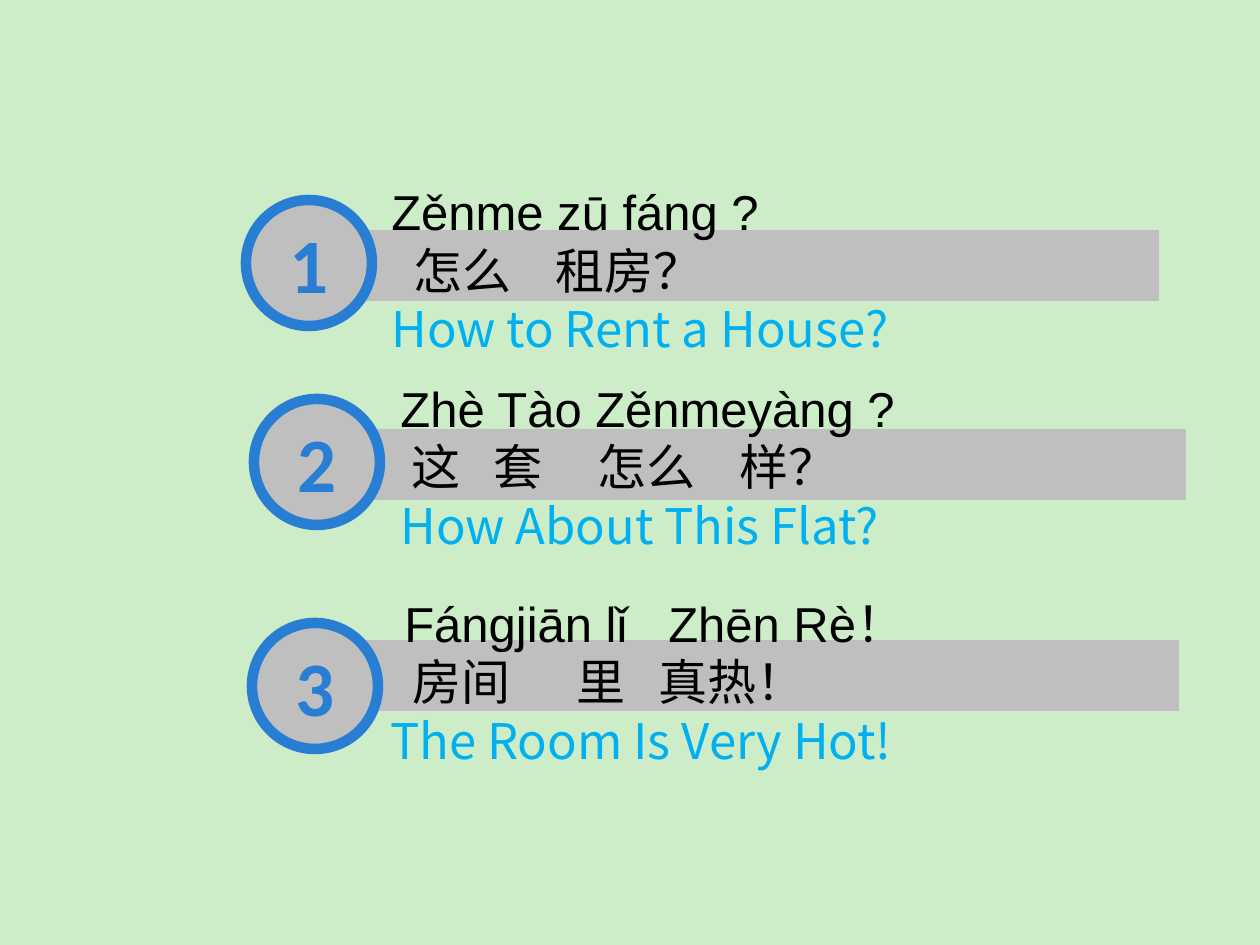
from lxml import etree
from pptx import Presentation
from pptx.dml.color import RGBColor
from pptx.enum.shapes import MSO_SHAPE
from pptx.enum.text import MSO_ANCHOR, MSO_AUTO_SIZE, PP_ALIGN
from pptx.oxml.ns import qn
from pptx.util import Emu, Pt

RECTANGLE, OVAL = MSO_SHAPE.RECTANGLE, MSO_SHAPE.OVAL
MIDDLE, CENTER = MSO_ANCHOR.MIDDLE, PP_ALIGN.CENTER
FIT_SHAPE = MSO_AUTO_SIZE.SHAPE_TO_FIT_TEXT

PX_PER_INCH = 126
GREEN, GRAY, BLUE = "CCEDC7", "BFBFBF", "287ED3"
BLACK, SKY = "000000", "00B0F0"
LATIN, CHINESE, NUMBER = "Arial", "Noto Sans CJK SC", "Calibri"
BAR_SIZE, CIRCLE_SIZE, TEXT_HEIGHT = (815, 71), (126, 126), 189

# Each line is a list of (tab position in px, words); position 0 needs no tab.
LESSONS = [
    {"bar": (344, 230), "circle": (246, 200), "text": (379, 175, 890),
     "pinyin": [(0, "Zěnme zū fáng ?")],
     "chinese": [(22, "怎么"), (164, "租房？")],
     "english": [(0, "How to Rent a House?")]},
    {"bar": (371, 429), "circle": (254, 399), "text": (388, 372, 810),
     "pinyin": [(0, "Zhè Tào Zěnmeyàng ?")],
     "chinese": [(11, "这"), (93, "套"), (197, "怎么"), (339, "样？")],
     "english": [(0, "How About This Flat?")]},
    {"bar": (364, 640), "circle": (252, 623), "text": (378, 587, 856),
     "pinyin": [(14, "Fángjiān lǐ"), (278, "Zhēn Rè！")],
     "chinese": [(22, "房间"), (186, "里"), (268, "真热！")],
     "english": [(0, "The Room Is Very Hot!")]},
]
LINE_STYLES = [("pinyin", LATIN, BLACK), ("chinese", CHINESE, BLACK),
               ("english", CHINESE, SKY)]


def px(value):
    return Emu(round(value * 914400 / PX_PER_INCH))


def color(hex_value):
    return RGBColor.from_string(hex_value)


def set_font(paragraph, name, size, hex_value, bold=False):
    font = paragraph.font
    font.name, font.size, font.bold = name, Pt(size), bold
    font.color.rgb = color(hex_value)


def add_gray_shape(slide, kind, position, size):
    shape = slide.shapes.add_shape(kind, *map(px, position + size))
    shape.shadow.inherit = False
    shape.fill.solid()
    shape.fill.fore_color.rgb = color(GRAY)
    shape.line.fill.background()
    return shape


def add_numbered_circle(slide, position, number):
    circle = add_gray_shape(slide, OVAL, position, CIRCLE_SIZE)
    circle.line.color.rgb = color(BLUE)
    circle.line.width = Pt(6)
    frame = circle.text_frame
    frame.vertical_anchor = MIDDLE
    paragraph = frame.paragraphs[0]
    paragraph.text = str(number)
    paragraph.alignment = CENTER
    set_font(paragraph, NUMBER, 44, BLUE, True)


def fill_line(paragraph, pieces, font_name, hex_value):
    paragraph.text = "".join(("\t" if stop else "") + words for stop, words in pieces)
    stops = [stop for stop, words in pieces if stop]
    if stops:
        properties = paragraph._p.get_or_add_pPr()
        tab_list = etree.SubElement(properties, qn("a:tabLst"))
        for stop in stops:
            etree.SubElement(tab_list, qn("a:tab"), pos=str(px(stop)), algn="l")
    set_font(paragraph, font_name, 28, hex_value)


def add_lesson_text(slide, lesson):
    box = slide.shapes.add_textbox(*map(px, lesson["text"] + (TEXT_HEIGHT,)))
    frame = box.text_frame
    frame.word_wrap = True
    frame.auto_size = FIT_SHAPE
    for index, (key, font_name, hex_value) in enumerate(LINE_STYLES):
        paragraph = frame.add_paragraph() if index else frame.paragraphs[0]
        fill_line(paragraph, lesson[key], font_name, hex_value)


def main():
    presentation = Presentation()
    presentation.slide_width, presentation.slide_height = px(1260), px(945)
    slide = presentation.slides.add_slide(presentation.slide_layouts[6])
    slide.background.fill.solid()
    slide.background.fill.fore_color.rgb = color(GREEN)
    for number, lesson in enumerate(LESSONS, 1):
        add_gray_shape(slide, RECTANGLE, lesson["bar"], BAR_SIZE)
        add_numbered_circle(slide, lesson["circle"], number)
    for lesson in LESSONS:
        add_lesson_text(slide, lesson)
    presentation.save("out.pptx")


if __name__ == "__main__":
    main()
